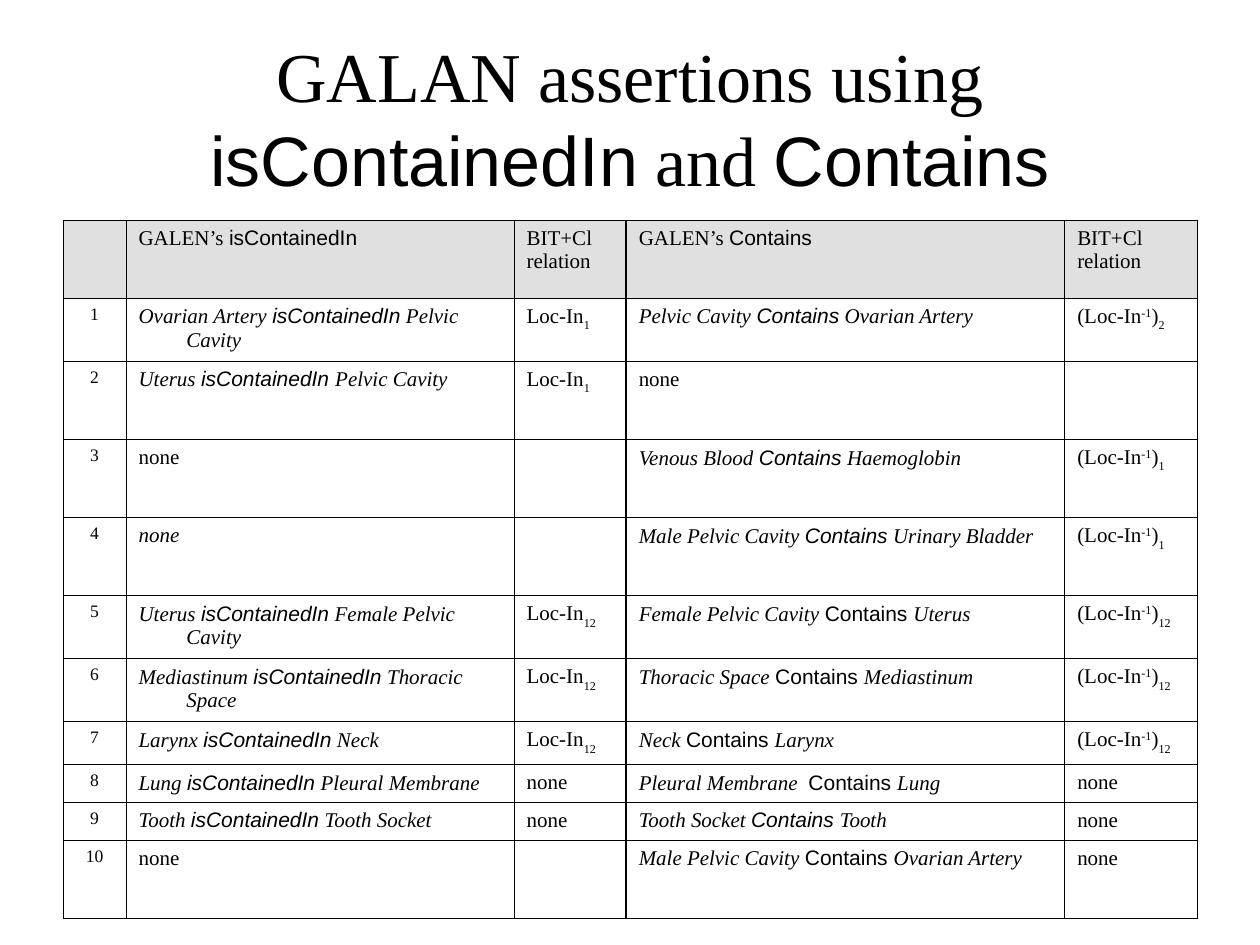
"""Build a slide that tabulates containment assertions."""
from dataclasses import dataclass

from lxml import etree
from pptx import Presentation
from pptx import util as u
from pptx.dml.color import RGBColor
from pptx.enum import text
from pptx.oxml.ns import qn

SERIF, SANS = "Times New Roman", "Arial"
BLACK, GREY = "000000", "E0E0E0"
THIN, THICK = 0.45, 0.96
COLS = [0.5, 3.08, 0.89, 3.48, 1.05]
ROWS = [0.62, 0.5, 0.62, 0.62, 0.62, 0.5, 0.5, 0.34, 0.3, 0.3, 0.62]
MIDDLE = 2


@dataclass(frozen=True)
class Run:
    """A piece of text in one format."""
    words: str
    name: str = SERIF
    italic: bool = False
    base: int = 0


Lines = list[list[Run]]


def color(value: str) -> RGBColor:
    """Turn a hex string into a colour."""
    return RGBColor.from_string(value)


def plain(*lines: str) -> Lines:
    """Give each line as an upright paragraph."""
    return [[Run(line)] for line in lines]


def heading(verb: str) -> Lines:
    """Head a column with the relation it covers."""
    return [[Run("GALEN’s "), Run(verb, SANS)]]


def fact(subject: str, verb: str, target: str, slanted: bool = True) -> Lines:
    """State one assertion with its verb in sans serif."""
    return [[Run(subject, italic=True), Run(verb, SANS, slanted), Run(target, italic=True)]]


def located(index: str) -> Lines:
    """Name the location relation with its subscript."""
    return [[Run("Loc-In"), Run(index, base=-30)]]


def inverse(index: str) -> Lines:
    """Name the inverse location relation with its subscript."""
    return [[Run("(Loc-In"), Run("-1", base=30), Run(")"), Run(index, base=-30)]]


NONE, EMPTY = plain("none"), []
RELATION = plain("BIT+Cl", "relation")
HEADER = [EMPTY, heading("isContainedIn"), RELATION, heading("Contains"), RELATION]
ASSERTIONS = [
    [fact("Ovarian Artery ", "isContainedIn", " Pelvic Cavity"), located("1"),
     fact("Pelvic Cavity ", "Contains", " Ovarian Artery"), inverse("2")],
    [fact("Uterus ", "isContainedIn ", "Pelvic Cavity"), located("1"), NONE, EMPTY],
    [NONE, EMPTY, fact("Venous Blood ", "Contains", " Haemoglobin"), inverse("1")],
    [[[Run("none", italic=True)]], EMPTY,
     fact("Male Pelvic Cavity ", "Contains", " Urinary Bladder"), inverse("1")],
    [fact("Uterus ", "isContainedIn", " Female Pelvic Cavity"), located("12"),
     fact("Female Pelvic Cavity ", "Contains ", "Uterus", False), inverse("12")],
    [fact("Mediastinum ", "isContainedIn", " Thoracic Space"), located("12"),
     fact("Thoracic Space ", "Contains ", "Mediastinum", False), inverse("12")],
    [fact("Larynx ", "isContainedIn", " Neck"), located("12"),
     fact("Neck ", "Contains ", "Larynx", False), inverse("12")],
    [fact("Lung ", "isContainedIn", " Pleural Membrane"), NONE,
     fact("Pleural Membrane  ", "Contains ", "Lung", False), NONE],
    [fact("Tooth ", "isContainedIn", " Tooth Socket"), NONE,
     fact("Tooth Socket ", "Contains ", "Tooth"), NONE],
    [NONE, EMPTY, fact("Male Pelvic Cavity ", "Contains ", "Ovarian Artery", False), NONE],
]
TITLE = [[Run("GALAN assertions using "), Run("isContainedIn", SANS),
          Run(" and "), Run("Contains", SANS)]]


def write(tf, lines: Lines, size: float, align, hanging: float = 0) -> None:
    """Write paragraphs with inch tab stops and an optional hanging indent."""
    for number, runs in enumerate(lines):
        p = tf.add_paragraph() if number else tf.paragraphs[0]
        p.alignment = align
        pr = p._p.get_or_add_pPr()
        pr.set("marL", str(u.Inches(hanging)))
        pr.set("indent", str(-u.Inches(hanging)))
        tabs = etree.SubElement(pr, qn("a:tabLst"))
        for inch in range(8):
            etree.SubElement(tabs, qn("a:tab"), pos=str(u.Inches(inch)), algn="l")
        for run in runs:
            r = p.add_run()
            r.text = run.words
            style = {"name": run.name, "size": u.Pt(size), "italic": run.italic}
            for key, value in style.items():
                setattr(r.font, key, value)
            r.font.color.rgb = color(BLACK)
            if run.base:
                r.font._element.set("baseline", str(run.base * 1000))


def border(cell, column: int) -> None:
    """Line a cell, heavier where the two halves of the table meet."""
    heavy = {MIDDLE: "R", MIDDLE + 1: "L"}.get(column)
    for side in "LRTB":
        width = THICK if side == heavy else THIN
        line = etree.SubElement(cell._tc.get_or_add_tcPr(), qn(f"a:ln{side}"), w=str(u.Pt(width)))
        fill = etree.SubElement(line, qn("a:solidFill"))
        etree.SubElement(fill, qn("a:srgbClr"), val=BLACK)


def draw_table(s) -> None:
    """Draw the numbered assertions under a grey header."""
    frame = s.shapes.add_table(len(ROWS), len(COLS), u.Inches(0.5), u.Inches(1.75),
                               u.Inches(sum(COLS)), u.Inches(sum(ROWS)))
    table = frame.table
    table.first_row = table.horz_banding = False
    for column, width in zip(table.columns, COLS):
        column.width = u.Inches(width)
    for row, height in zip(table.rows, ROWS):
        row.height = u.Inches(height)
    numbered = [[plain(str(n)), *cells] for n, cells in enumerate(ASSERTIONS, 1)]
    for i, cells in enumerate([HEADER, *numbered]):
        for j, lines in enumerate(cells):
            cell = table.cell(i, j)
            border(cell, j)
            if i:
                cell.fill.background()
            else:
                cell.fill.solid()
                cell.fill.fore_color.rgb = color(GREY)
            align = text.PP_ALIGN.LEFT if j else text.PP_ALIGN.CENTER
            write(cell.text_frame, lines, 12 if j else 10, align, 0.38)


def draw_title(s) -> None:
    """Place and fill the title placeholder."""
    sp = s.shapes.title
    place = {"left": 0.5, "top": 0.3, "width": 9, "height": 1.25}
    for key, value in place.items():
        setattr(sp, key, u.Inches(value))
    tf = sp.text_frame
    layout = {"word_wrap": True, "auto_size": text.MSO_AUTO_SIZE.NONE,
              "vertical_anchor": text.MSO_ANCHOR.MIDDLE}
    for key, value in layout.items():
        setattr(tf, key, value)
    write(tf, TITLE, 40, text.PP_ALIGN.CENTER)


def main() -> None:
    """Make the presentation and save it."""
    prs = Presentation()
    prs.slide_width, prs.slide_height = u.Inches(10), u.Inches(7.5)
    s = prs.slides.add_slide(prs.slide_layouts[5])
    draw_title(s)
    draw_table(s)
    prs.save("out.pptx")


if __name__ == "__main__":
    main()
